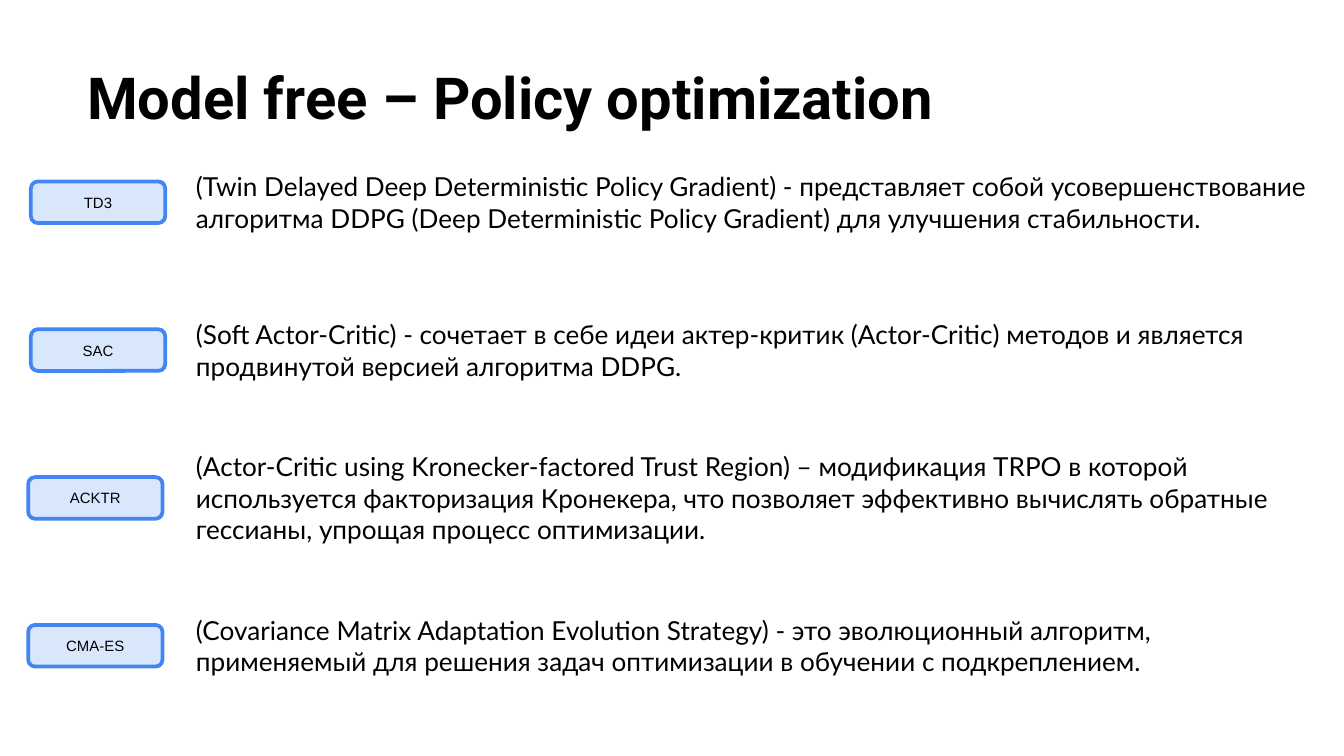
import pptx
import pptx.dml.color
import pptx.enum.shapes
import pptx.enum.text
import pptx.util
from pptx.util import Inches

BLACK = pptx.dml.color.RGBColor(0x00, 0x00, 0x00)
BLUE = pptx.dml.color.RGBColor(0x42, 0x85, 0xF4)
PALE_BLUE = pptx.dml.color.RGBColor(0xD9, 0xE7, 0xFD)

FIRST_TOP = Inches(1.35)
ROW_STEP = Inches(1.1)
LABEL_HEIGHT = Inches(0.31)
LINE_HEIGHT = pptx.util.Pt(16.8)

# Label, label left, description width, description lines, description
ALGORITHMS = [
    ("TD3", 0.23, 8.5, 2,
     "(Twin Delayed Deep Deterministic Policy Gradient) - представляет собой "
     "усовершенствование алгоритма DDPG (Deep Deterministic Policy Gradient) "
     "для улучшения стабильности."),
    ("SAC", 0.23, 8.41, 2,
     "(Soft Actor-Critic) - сочетает в себе идеи актер-критик (Actor-Critic) "
     "методов и является продвинутой версией алгоритма DDPG."),
    ("ACKTR", 0.21, 8.5, 3,
     "(Actor-Critic using Kronecker-factored Trust Region) – модификация TRPO "
     "в которой используется факторизация Кронекера, что позволяет эффективно "
     "вычислять обратные гессианы, упрощая процесс оптимизации."),
    ("CMA-ES", 0.21, 8.5, 2,
     "(Covariance Matrix Adaptation Evolution Strategy) - это эволюционный "
     "алгоритм, применяемый для решения задач оптимизации в обучении с "
     "подкреплением."),
]


def write(frame, text, *, font, size, bold=False,
          align=pptx.enum.text.PP_ALIGN.LEFT,
          anchor=pptx.enum.text.MSO_ANCHOR.TOP):
    frame.word_wrap = True
    frame.vertical_anchor = anchor
    para = frame.paragraphs[0]
    para.alignment = align
    span = para.add_run()
    span.text = text
    span.font.name = font
    span.font.size = pptx.util.Pt(size)
    span.font.bold = bold
    span.font.color.rgb = BLACK


class PolicySlide:
    """Holds the style and the current page."""

    title_style = {"font": "Roboto", "size": 31, "bold": True}
    body_style = {"font": "Lato", "size": 14}
    label_style = {"font": "Arial", "size": 8,
                   "align": pptx.enum.text.PP_ALIGN.CENTER,
                   "anchor": pptx.enum.text.MSO_ANCHOR.MIDDLE}

    def __init__(self, page):
        self.page = page

    def title(self, text):
        box = self.page.shapes.add_textbox(
            Inches(0.55), Inches(0.36), Inches(9.32), Inches(1.07))
        frame = box.text_frame
        frame.margin_left = frame.margin_right = Inches(0.1)
        frame.margin_top = frame.margin_bottom = Inches(0.1)
        write(frame, text, **self.title_style)

    def label(self, text, left, top):
        box = self.page.shapes.add_shape(
            pptx.enum.shapes.MSO_SHAPE.ROUNDED_RECTANGLE,
            left, top, Inches(1), LABEL_HEIGHT)
        box.shadow.inherit = False
        box.fill.solid()
        box.fill.fore_color.rgb = PALE_BLUE
        box.line.color.rgb = BLUE
        box.line.width = pptx.util.Pt(2)
        write(box.text_frame, text, **self.label_style)

    def description(self, text, width, lines, centre):
        height = lines * LINE_HEIGHT + Inches(0.1)
        box = self.page.shapes.add_textbox(
            Inches(1.36), centre - height // 2, width, height)
        box.text_frame.auto_size = pptx.enum.text.MSO_AUTO_SIZE.SHAPE_TO_FIT_TEXT
        write(box.text_frame, text, **self.body_style)


def main():
    deck = pptx.Presentation()
    deck.slide_width = Inches(10)
    deck.slide_height = deck.slide_width * 9 // 16
    slide = PolicySlide(deck.slides.add_slide(deck.slide_layouts[6]))

    slide.title("Model free – Policy optimization")
    for row, (name, left, width, lines, text) in enumerate(ALGORITHMS):
        top = FIRST_TOP + row * ROW_STEP
        slide.label(name, Inches(left), top)
        slide.description(text, Inches(width), lines, top + LABEL_HEIGHT // 2)

    deck.save("out.pptx")


if __name__ == "__main__":
    main()
